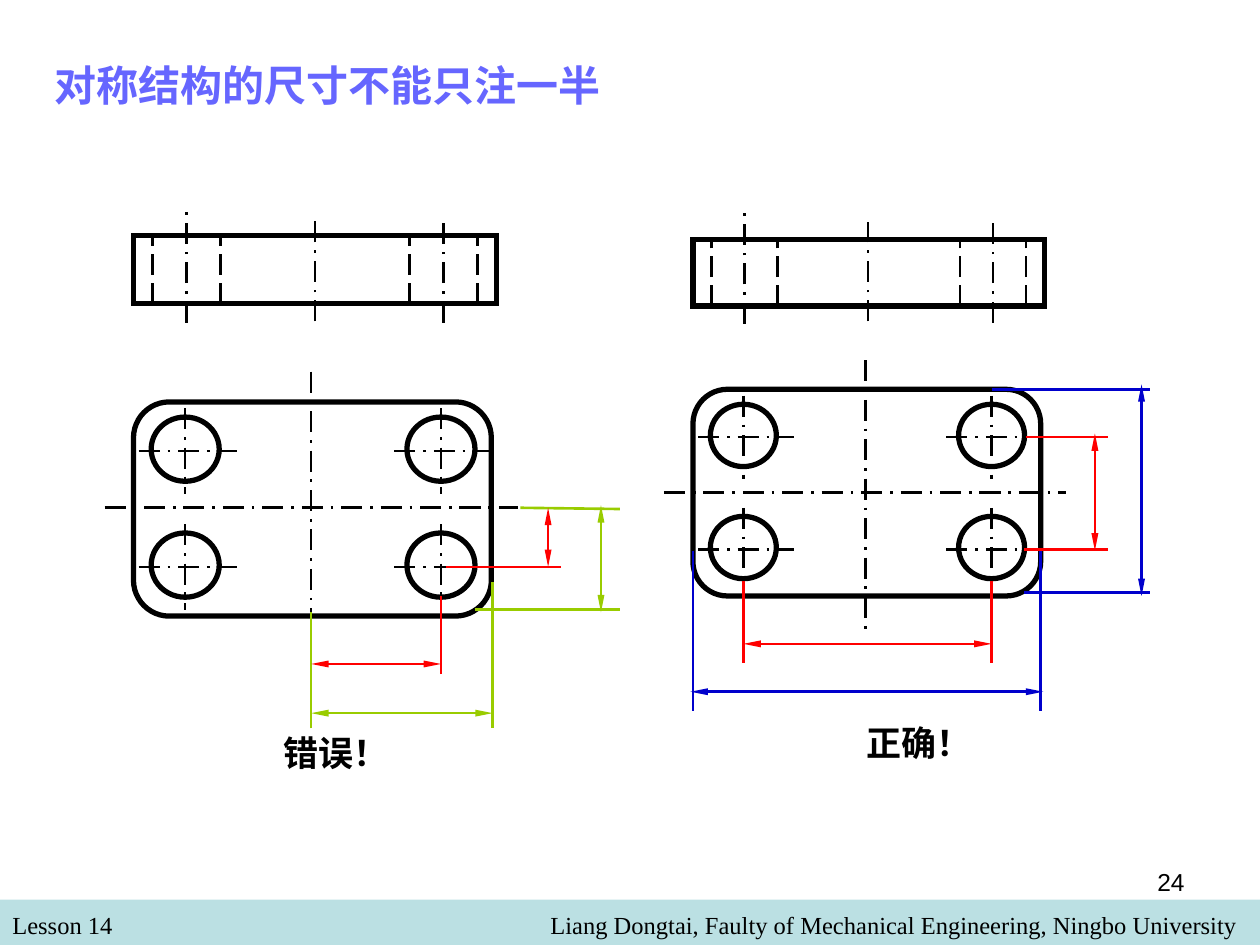
from dataclasses import dataclass

from lxml.etree import SubElement
from pptx import Presentation
from pptx.dml.color import RGBColor
from pptx.enum.dml import MSO_LINE
from pptx.enum.shapes import MSO_CONNECTOR, MSO_SHAPE
from pptx.enum.text import MSO_ANCHOR, PP_ALIGN
from pptx.oxml.ns import qn
from pptx.util import Cm, Pt

BLACK = RGBColor(0, 0, 0)
RED = RGBColor(0xFF, 0, 0)
GREEN = RGBColor(0x99, 0xCC, 0)
BLUE = RGBColor(0, 0, 0xCC)
TITLE_BLUE = RGBColor(0x66, 0x66, 0xFF)
BAND = RGBColor(0xBB, 0xE0, 0xE3)
CJK_FONT = "Noto Sans CJK SC"
AXIS = MSO_LINE.LONG_DASH_DOT
HIDDEN = MSO_LINE.LONG_DASH


@dataclass(frozen=True)
class Plate:
    """Two views of a drilled plate; boxes are left, top, width, height in inches."""
    side: tuple
    top: tuple
    scale: float
    columns: tuple
    rows: tuple
    side_axes: tuple  # x, bottom, top
    top_axes: tuple  # x1, y1, x2, y2


@dataclass(frozen=True)
class Dimension:
    x1: float
    y1: float
    x2: float
    y2: float
    color: RGBColor
    arrows: bool = False


PLATES = [
    Plate((1.06, 1.87, 2.88, 0.54), (1.06, 3.19, 2.84, 1.7), 1, (1.47, 3.5), (3.58, 4.5),
          ((1.48, 2.56, 1.63), (2.5, 2.55, 1.74), (3.52, 2.56, 1.71)),
          ((0.83, 4.03, 4.11, 4.03), (2.47, 2.95, 2.47, 5.16))),
    Plate((5.5, 1.9, 2.79, 0.53), (5.5, 3.09, 2.76, 1.64), 0.97, (5.9, 7.87), (3.47, 4.36),
          ((5.91, 2.57, 1.66), (6.89, 2.55, 1.76), (7.88, 2.56, 1.74)),
          ((5.27, 3.91, 8.46, 3.91), (6.87, 2.86, 6.87, 5))),
]

DIMENSIONS = [
    # Wrong: measured from the axes
    Dimension(2.47, 5.78, 2.47, 4.86, GREEN),
    Dimension(3.5, 5.35, 3.5, 4.73, RED),
    Dimension(2.47, 5.27, 3.5, 5.27, RED, True),
    Dimension(3.54, 4.5, 4.45, 4.5, RED),
    Dimension(4.77, 4.01, 4.77, 4.86, GREEN, True),
    Dimension(3.77, 4.84, 4.92, 4.84, GREEN),
    Dimension(4.13, 4.03, 4.92, 4.04, GREEN),
    Dimension(4.35, 4.03, 4.35, 4.5, RED, True),
    Dimension(3.91, 4.62, 3.91, 5.78, GREEN),
    Dimension(2.47, 5.66, 3.91, 5.66, GREEN, True),
    # Right: measured across the whole plate
    Dimension(5.9, 5.11, 7.87, 5.11, RED, True),
    Dimension(8.69, 3.44, 8.69, 4.37, RED, True),
    Dimension(7.87, 4.61, 7.87, 5.26, RED),
    Dimension(5.5, 4.37, 5.5, 5.64, BLUE),
    Dimension(8.26, 4.37, 8.26, 5.64, BLUE),
    Dimension(5.48, 5.49, 8.28, 5.49, BLUE, True),
    Dimension(5.9, 4.61, 5.9, 5.26, RED),
    Dimension(7.87, 3.09, 9.13, 3.09, BLUE),
    Dimension(8.13, 4.7, 9.13, 4.7, BLUE),
    Dimension(9.06, 3.05, 9.06, 4.73, BLUE, True),
    Dimension(8.14, 3.47, 8.79, 3.47, RED),
    Dimension(8.13, 4.36, 8.79, 4.36, RED),
]


def lengths(*inches: float) -> list:
    return [Cm(value * 2.54) for value in inches]


def add_line(page, x1, y1, x2, y2, color=BLACK, dash=None, arrows=False) -> None:
    line = page.shapes.add_connector(MSO_CONNECTOR.STRAIGHT, *lengths(x1, y1, x2, y2))
    line.line.color.rgb = color
    line.line.width = Pt(1.5)
    if dash:
        line.line.dash_style = dash
    if arrows:
        for end in ("a:headEnd", "a:tailEnd"):
            SubElement(line.line._ln, qn(end), type="triangle", w="sm", len="lg")
    SubElement(line._element.spPr, qn("a:effectLst"))


def add_outline(page, kind: MSO_SHAPE, box: tuple):
    shape = page.shapes.add_shape(kind, *lengths(*box))
    shape.shadow.inherit = False
    shape.fill.background()
    shape.line.color.rgb = BLACK
    shape.line.width = Pt(3)
    SubElement(shape.line._ln, qn("a:miter"), lim="800000")
    return shape


def write(box, text: str, *, font: str, size: float, color=BLACK, bold=False,
          align=PP_ALIGN.LEFT, anchor=MSO_ANCHOR.TOP, wrap=True) -> None:
    frame = box.text_frame
    frame.word_wrap = wrap
    frame.vertical_anchor = anchor
    para = frame.paragraphs[0]
    para.alignment = align
    span = para.add_run()
    span.text = text
    span.font.name = font
    span.font.size = Pt(size)
    span.font.bold = bold
    span.font.color.rgb = color
    if not text.isascii():
        SubElement(span.font._element, qn("a:ea"), typeface=CJK_FONT)


def add_text(page, place: tuple, text: str, **style) -> None:
    write(page.shapes.add_textbox(*lengths(*place)), text, **style)


def draw_hole(page, x: float, y: float, scale: float) -> None:
    radius = 0.27 * scale
    add_outline(page, MSO_SHAPE.OVAL, (x - radius, y - radius, 2 * radius, 0.51 * scale))
    add_line(page, x - 0.37 * scale, y, x + 0.41 * scale, y, dash=AXIS)
    add_line(page, x, y - 0.34 * scale, x, y + 0.34 * scale, dash=AXIS)


def draw_plate(page, plate: Plate) -> None:
    add_outline(page, MSO_SHAPE.RECTANGLE, plate.side)
    upper = plate.side[1]
    lower = upper + plate.side[3]
    for x, bottom, top in plate.side_axes:
        add_line(page, x, bottom, x, top, dash=AXIS)
    for x in (plate.side_axes[0][0], plate.side_axes[-1][0]):
        for edge in (x - 0.27 * plate.scale, x + 0.27 * plate.scale):
            add_line(page, edge, lower, edge, upper, dash=HIDDEN)
    add_outline(page, MSO_SHAPE.ROUNDED_RECTANGLE, plate.top).adjustments[0] = 0.167
    for x in plate.columns:
        for y in plate.rows:
            draw_hole(page, x, y, plate.scale)
    for axis in plate.top_axes:
        add_line(page, *axis, dash=AXIS)


def main() -> None:
    deck = Presentation()
    deck.slide_width, deck.slide_height = lengths(10, 7.5)
    page = deck.slides.add_slide(deck.slide_layouts[5])

    band = page.shapes.add_shape(MSO_SHAPE.RECTANGLE, *lengths(0, 7.14, 10, 0.36))
    band.shadow.inherit = False
    band.fill.solid()
    band.fill.fore_color.rgb = BAND
    band.line.fill.background()
    footer = dict(font="Times New Roman", size=14)
    add_text(page, (0, 7.17, 4.83, 0.34), "Lesson 14", **footer)
    add_text(page, (1.75, 7.17, 8.17, 0.34),
             "Liang Dongtai, Faulty of Mechanical Engineering, Ningbo University",
             align=PP_ALIGN.RIGHT, **footer)

    for plate in PLATES:
        draw_plate(page, plate)
    for item in DIMENSIONS:
        add_line(page, item.x1, item.y1, item.x2, item.y2, item.color, arrows=item.arrows)
    for left, top, verdict in ((2.01, 5.75, "错误！"), (6.64, 5.67, "正确！")):
        add_text(page, (left, top, 1.03, 0.44), verdict, font="Roboto", size=20, bold=True,
                 align=PP_ALIGN.CENTER, anchor=MSO_ANCHOR.MIDDLE, wrap=False)

    title = page.shapes.title
    title.left, title.top, title.width, title.height = lengths(0.33, 0.42, 8.19, 0.5)
    write(title, "对称结构的尺寸不能只注一半", font=CJK_FONT, size=24, color=TITLE_BLUE, bold=True)
    add_text(page, (7.17, 6.83, 2.33, 0.52), "24", font="Arial", size=14, align=PP_ALIGN.RIGHT)
    deck.save("out.pptx")


if __name__ == "__main__":
    main()
